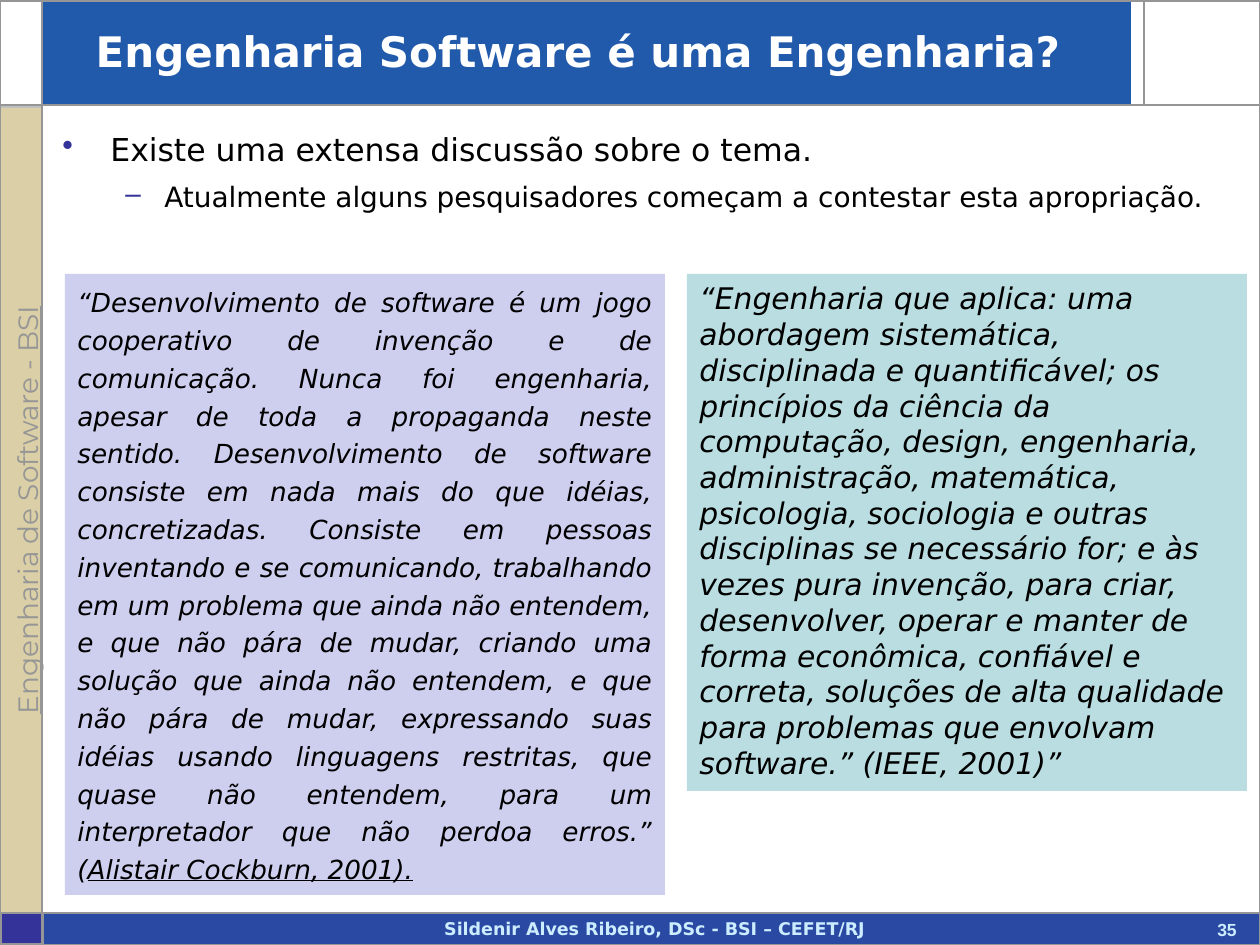
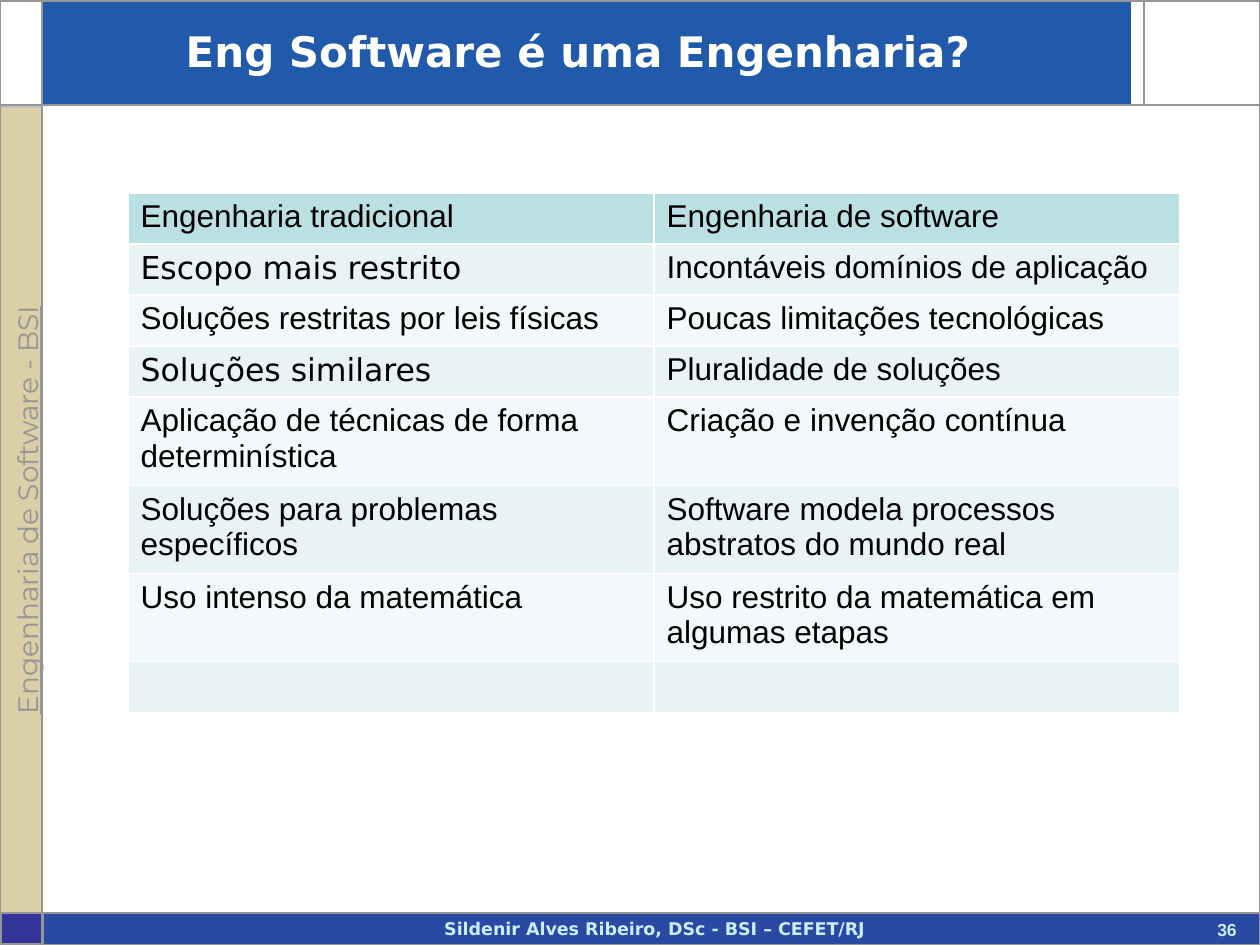
from lxml import etree
from pptx import Presentation
from pptx.dml.color import RGBColor
from pptx.enum.shapes import MSO_CONNECTOR, MSO_SHAPE
from pptx.enum.text import MSO_ANCHOR, PP_ALIGN
from pptx.oxml.ns import qn
from pptx.util import Emu, Pt

LEFT, CENTER, RIGHT, JUSTIFY = PP_ALIGN.LEFT, PP_ALIGN.CENTER, PP_ALIGN.RIGHT, PP_ALIGN.JUSTIFY
TOP, MIDDLE = MSO_ANCHOR.TOP, MSO_ANCHOR.MIDDLE
RECTANGLE, STRAIGHT = MSO_SHAPE.RECTANGLE, MSO_CONNECTOR.STRAIGHT

BLACK = RGBColor(0x00, 0x00, 0x00)
WHITE = RGBColor(0xFF, 0xFF, 0xFF)
GRAY = RGBColor(0x96, 0x96, 0x96)
SILVER = RGBColor(0xC0, 0xC0, 0xC0)
TITLE_BLUE = RGBColor(0x21, 0x59, 0xAB)
FOOTER_BLUE = RGBColor(0x29, 0x49, 0xA3)
INDIGO = RGBColor(0x33, 0x33, 0x99)
SAND = RGBColor(0xDA, 0xCF, 0xA6)
PALE_CYAN = RGBColor(0xCC, 0xEC, 0xFF)
LILAC = RGBColor(0xCE, 0xCE, 0xEF)
AQUA = RGBColor(0xBA, 0xDD, 0xE1)
HEADER_AQUA = RGBColor(0xBB, 0xE0, 0xE3)
ROW_AQUAS = (RGBColor(0xE7, 0xF3, 0xF4), RGBColor(0xF3, 0xF9, 0xFA))

SANS, ARIAL, SIDE_FONT = "DejaVu Sans", "Arial", "Montserrat"
WIDTH, HEIGHT = 1260, 945
RAIL, HEADER_BOTTOM, FOOTER_TOP = 42, 105, 913

COURSE = "Engenharia de Software - BSI"
FOOTER = "Sildenir Alves Ribeiro, DSc - BSI – CEFET/RJ"

BULLETS = [
    dict(text="Existe uma extensa discussão sobre o tema.",
         mark="•", size=18, level=0, margin=48, hanging=48),
    dict(text="Atualmente alguns pesquisadores começam a contestar esta apropriação.",
         mark="–", size=16, level=1, margin=102, hanging=39),
]

COCKBURN_QUOTE = (
    "“Desenvolvimento de software é um jogo cooperativo de invenção e de comunicação. "
    "Nunca foi engenharia, apesar de toda a propaganda neste sentido. "
    "Desenvolvimento de software consiste em nada mais do que idéias, concretizadas. "
    "Consiste em pessoas inventando e se comunicando, trabalhando em um problema que "
    "ainda não entendem, e que não pára de mudar, criando uma solução que ainda não "
    "entendem, e que não pára de mudar, expressando suas idéias usando linguagens "
    "restritas, que quase não entendem, para um interpretador que não perdoa erros.” ("
)
COCKBURN_CREDIT = "Alistair Cockburn, 2001)."
IEEE_QUOTE = (
    "“Engenharia que aplica: uma abordagem sistemática, disciplinada e quantificável; "
    "os princípios da ciência da computação, design, engenharia, administração, "
    "matemática, psicologia, sociologia e outras disciplinas se necessário for; e às "
    "vezes pura invenção, para criar, desenvolver, operar e manter de forma econômica, "
    "confiável e correta, soluções de alta qualidade para problemas que envolvam "
    "software.” (IEEE, 2001)”"
)

COMPARISON = [
    ("Engenharia tradicional", "Engenharia de software"),
    ("Escopo mais restrito", "Incontáveis domínios de aplicação"),
    ("Soluções restritas por leis físicas", "Poucas limitações tecnológicas"),
    ("Soluções similares", "Pluralidade de soluções"),
    ("Aplicação de técnicas de forma determinística", "Criação e invenção contínua"),
    ("Soluções para problemas específicos", "Software modela processos abstratos do mundo real"),
    ("Uso intenso da matemática", "Uso restrito da matemática em algumas etapas"),
    ("", ""),
]
SANS_CELLS = {"Escopo mais restrito", "Soluções similares"}
TWO_LINE_ROWS = {4, 5, 6}
ONE_LINE, TWO_LINES, COLUMN = 51, 88, 526


def px(length):
    return Emu(round(length * 914400 / 126))


def add_run(paragraph, text, size, font=SANS, color=BLACK, bold=False, italic=False, underline=False):
    run = paragraph.add_run()
    run.text = text
    run.font.size = Pt(size)
    run.font.name = font
    run.font.color.rgb = color
    run.font.bold = bold
    run.font.italic = italic
    run.font.underline = underline


def add_rectangle(slide, box, fill=None, line=None, weight=1):
    shape = slide.shapes.add_shape(RECTANGLE, *map(px, box))
    shape.shadow.inherit = False
    if fill is None:
        shape.fill.background()
    else:
        shape.fill.solid()
        shape.fill.fore_color.rgb = fill
    if line is None:
        shape.line.fill.background()
    else:
        shape.line.color.rgb = line
        shape.line.width = Pt(weight)
    return shape


def add_rule(slide, *ends):
    connector = slide.shapes.add_connector(STRAIGHT, *map(px, ends))
    connector.line.color.rgb = GRAY
    connector.line.width = Pt(1)
    etree.SubElement(connector._element.spPr, qn("a:effectLst"))


def add_text(slide, box, text, size, align=CENTER, anchor=TOP, wrap=True, **style):
    text_box = slide.shapes.add_textbox(*map(px, box))
    frame = text_box.text_frame
    frame.word_wrap = wrap
    frame.vertical_anchor = anchor
    paragraph = frame.paragraphs[0]
    paragraph.alignment = align
    add_run(paragraph, text, size, **style)
    return text_box


def add_base(presentation, title, number):
    slide = presentation.slides.add_slide(presentation.slide_layouts[6])
    add_rectangle(slide, (RAIL, 0, 1089, 106), TITLE_BLUE)
    add_rectangle(slide, (0, 107, RAIL, 809), SAND, SILVER, 0.75)
    add_rectangle(slide, (RAIL, FOOTER_TOP, WIDTH - RAIL, HEIGHT - FOOTER_TOP), FOOTER_BLUE)
    course = add_text(slide, (-215, 493, 472, 34), COURSE, 16, wrap=False,
                      font=SIDE_FONT, color=GRAY, underline=True)
    course.rotation = 270
    add_rule(slide, 1144, 0, 1144, HEADER_BOTTOM)
    add_rule(slide, 0, HEADER_BOTTOM, WIDTH, HEADER_BOTTOM)
    add_rectangle(slide, (1, FOOTER_TOP, RAIL, 31), INDIGO, GRAY, 0.75)
    add_rule(slide, RAIL, 0, RAIL, HEIGHT)
    add_rectangle(slide, (0, 1, WIDTH, HEIGHT - 1), line=GRAY)
    add_rule(slide, 0, FOOTER_TOP, WIDTH, FOOTER_TOP)
    add_text(slide, (68, 912, 1173, 32), FOOTER, 10, color=PALE_CYAN, bold=True)
    add_text(slide, (1144, FOOTER_TOP, 105, 32), str(number), 10, RIGHT,
             font=ARIAL, color=PALE_CYAN, bold=True)
    add_text(slide, (50, 16, 1056, 70), title, 24, anchor=MIDDLE, color=WHITE, bold=True)
    return slide


def add_bullets(slide, box, bullets):
    frame = slide.shapes.add_textbox(*map(px, box)).text_frame
    frame.word_wrap = True
    for index, bullet in enumerate(bullets):
        paragraph = frame.add_paragraph() if index else frame.paragraphs[0]
        paragraph.level = bullet["level"]
        paragraph.line_spacing = 1.2
        paragraph.space_before = Pt(bullet["size"] * 0.2)
        properties = paragraph._p.get_or_add_pPr()
        properties.set("marL", str(px(bullet["margin"])))
        properties.set("indent", str(-px(bullet["hanging"])))
        mark_color = etree.SubElement(properties, qn("a:buClr"))
        etree.SubElement(mark_color, qn("a:srgbClr"), val=str(INDIGO))
        etree.SubElement(properties, qn("a:buChar"), char=bullet["mark"])
        add_run(paragraph, bullet["text"], bullet["size"])


def add_quote(slide, box, fill, align):
    shape = add_rectangle(slide, box, fill)
    frame = shape.text_frame
    frame.word_wrap = True
    frame.vertical_anchor = TOP
    paragraph = frame.paragraphs[0]
    paragraph.alignment = align
    return paragraph


def add_cell_borders(cell):
    properties = cell._tc.get_or_add_tcPr()
    for index, side in enumerate(("lnL", "lnR", "lnT", "lnB")):
        border = etree.Element(qn(f"a:{side}"), w=str(Pt(1)))
        fill = etree.SubElement(border, qn("a:solidFill"))
        etree.SubElement(fill, qn("a:srgbClr"), val=str(WHITE))
        properties.insert(index, border)


def add_comparison(slide, left, top, rows):
    heights = [TWO_LINES if index in TWO_LINE_ROWS else ONE_LINE for index in range(len(rows))]
    box = (left, top, 2 * COLUMN, sum(heights))
    table = slide.shapes.add_table(len(rows), 2, *map(px, box)).table
    table.horz_banding = False
    for row_index, texts in enumerate(rows):
        table.rows[row_index].height = px(heights[row_index])
        for column_index, text in enumerate(texts):
            cell = table.cell(row_index, column_index)
            cell.fill.solid()
            cell.fill.fore_color.rgb = ROW_AQUAS[(row_index - 1) % 2] if row_index else HEADER_AQUA
            add_cell_borders(cell)
            if text:
                font = SANS if text in SANS_CELLS else ARIAL
                add_run(cell.text_frame.paragraphs[0], text, 18, font)


def build_quotes_slide(presentation):
    slide = add_base(presentation, "Engenharia Software é uma Engenharia?", 35)
    add_bullets(slide, (50, 116, 1210, 129), BULLETS)
    paragraph = add_quote(slide, (65, 274, 600, 621), LILAC, JUSTIFY)
    paragraph.line_spacing = 1.2
    paragraph.space_before = Pt(3)
    add_run(paragraph, COCKBURN_QUOTE, 15, italic=True)
    add_run(paragraph, COCKBURN_CREDIT, 15, italic=True, underline=True)
    paragraph = add_quote(slide, (687, 274, 560, 517), AQUA, LEFT)
    add_run(paragraph, IEEE_QUOTE, 17, italic=True)


def build_comparison_slide(presentation):
    slide = add_base(presentation, "Eng Software é uma Engenharia?", 36)
    add_comparison(slide, 128, 193, COMPARISON)


def main():
    presentation = Presentation()
    presentation.slide_width = px(WIDTH)
    presentation.slide_height = px(HEIGHT)
    build_quotes_slide(presentation)
    build_comparison_slide(presentation)
    presentation.save("out.pptx")


if __name__ == "__main__":
    main()
